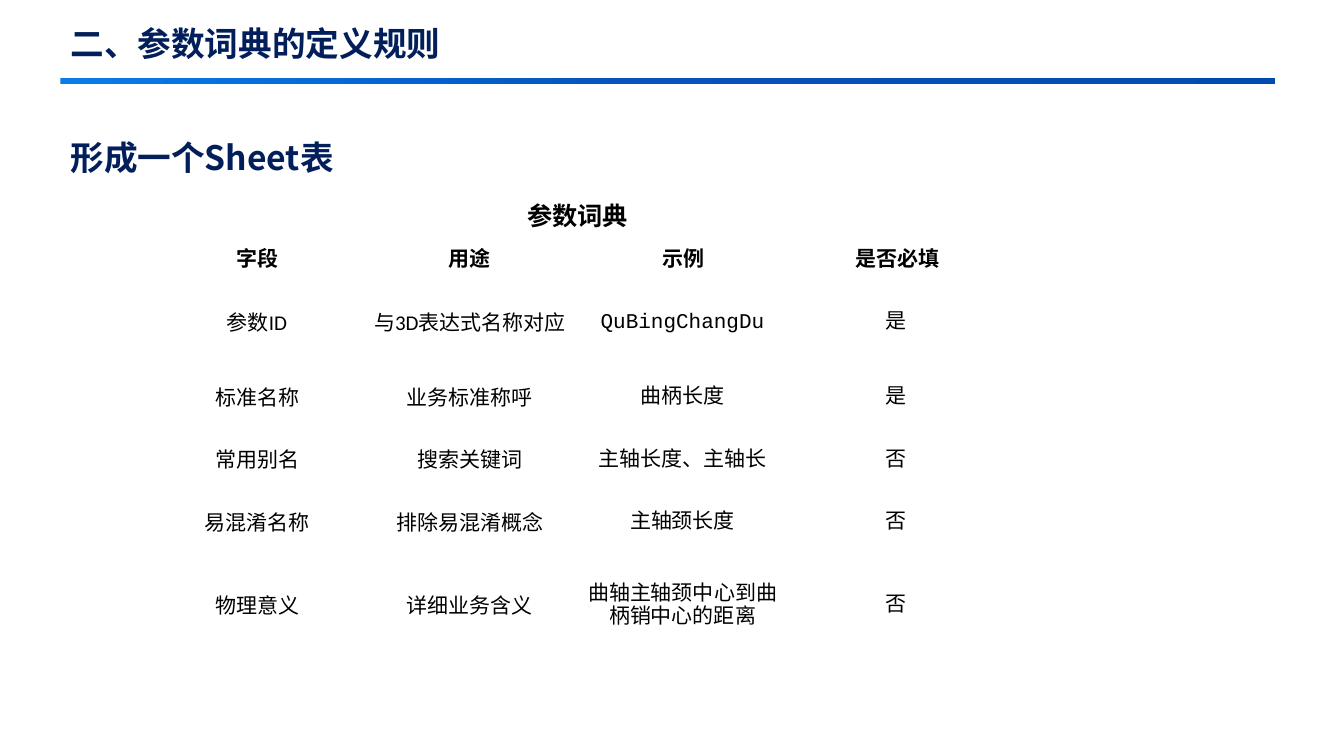
from copy import deepcopy

from lxml import etree
from pptx import Presentation
from pptx.dml import color
from pptx.enum import shapes, text
from pptx.oxml import ns
from pptx.util import Inches, Pt

CJK_FONT = "Noto Sans CJK SC"
NAVY, BLACK, WHITE = "021F5B", "000000", "FFFFFF"
RULE_STOPS = [(0, "097CEA"), (0.47, "0652BE"), (1, "004CAE")]

TABLE_TITLE = "参数词典"
ROWS = [
    ["字段", "用途", "示例", "是否必填"],
    ["参数ID", "与3D表达式名称对应", "QuBingChangDu", "是"],
    ["标准名称", "业务标准称呼", "曲柄长度", "是"],
    ["常用别名", "搜索关键词", "主轴长度、主轴长", "否"],
    ["易混淆名称", "排除易混淆概念", "主轴颈长度", "否"],
    ["物理意义", "详细业务含义", "曲轴主轴颈中心到曲柄销中心的距离", "否"],
]
ROW_HEIGHTS = [0.4, 0.39, 0.87, 0.62, 0.62, 0.62, 1.03]
COLUMN_WIDTH = 2.12


def rgb(value):
    return color.RGBColor.from_string(value)


def format_paragraph(para, size, font, value, bold, align):
    para.alignment = align
    for span in para.runs:
        span.font.size = Pt(size)
        span.font.bold = bold
        span.font.color.rgb = rgb(value)
        span.font.name = font
        east_asian = etree.SubElement(span.font._element, ns.qn("a:ea"))
        east_asian.set("typeface", CJK_FONT)


def fill_heading(box, left, top, width, height, wording):
    box.left, box.top = Inches(left), Inches(top)
    box.width, box.height = Inches(width), Inches(height)
    frame = box.text_frame
    frame.text = wording
    frame.word_wrap = True
    frame.auto_size = text.MSO_AUTO_SIZE.NONE
    frame.vertical_anchor = text.MSO_ANCHOR.MIDDLE
    para = frame.paragraphs[0]
    para.line_spacing = 1.0
    format_paragraph(para, 24, CJK_FONT, NAVY, True, text.PP_ALIGN.LEFT)


def add_rule(page, left, top, width, height):
    rule = page.shapes.add_shape(shapes.MSO_SHAPE.RECTANGLE, Inches(left),
                                 Inches(top), Inches(width), Inches(height))
    rule.shadow.inherit = False
    rule.line.fill.background()
    rule.fill.gradient()
    rule.fill.gradient_angle = 0
    # The default gradient has two stops; a third goes between them
    first = rule.fill.gradient_stops[0]._gs
    first.addnext(deepcopy(first))
    for stop, (position, value) in zip(rule.fill.gradient_stops, RULE_STOPS):
        stop.position = position
        stop.color.rgb = rgb(value)


def fill_cell(cell, wording, size, font, bold, spacing, left=0.07, right=0.07):
    cell.fill.solid()
    cell.fill.fore_color.rgb = rgb(WHITE)
    cell.vertical_anchor = text.MSO_ANCHOR.MIDDLE
    cell.margin_left, cell.margin_right = Inches(left), Inches(right)
    cell.margin_top = cell.margin_bottom = Inches(0.04)
    cell.text_frame.text = wording
    para = cell.text_frame.paragraphs[0]
    para.line_spacing = Pt(spacing)
    format_paragraph(para, size, font, BLACK, bold, text.PP_ALIGN.CENTER)


def add_dictionary(page, left, top):
    columns = len(ROWS[0])
    table = page.shapes.add_table(
        len(ROW_HEIGHTS), columns, Inches(left), Inches(top),
        Inches(COLUMN_WIDTH * columns), Inches(sum(ROW_HEIGHTS))).table
    table.first_row = table.horz_banding = False
    for row, height in zip(table.rows, ROW_HEIGHTS):
        row.height = Inches(height)
    for column in table.columns:
        column.width = Inches(COLUMN_WIDTH)

    # Title across all columns
    table.cell(0, 0).merge(table.cell(0, columns - 1))
    fill_cell(table.cell(0, 0), TABLE_TITLE, 18, "Calibri", True, 18.8, left=0.09)

    # Column heads and entries
    for r, entries in enumerate(ROWS, 1):
        header = r == 1
        for c, wording in enumerate(entries):
            answer = not header and c >= 2
            fill_cell(table.cell(r, c), wording, 15,
                      "Courier New" if answer and c == 2 else "Calibri",
                      header, 16.5 if answer else 18.8,
                      left=0.09 if c == 0 else 0.07,
                      right=0.09 if answer else 0.07)


def main():
    deck = Presentation()
    deck.slide_width, deck.slide_height = Inches(13.33), Inches(7.5)
    page = deck.slides.add_slide(deck.slide_layouts[5])

    # Title and rule
    add_rule(page, 0.6, 0.77, 12.05, 0.06)
    fill_heading(page.shapes.title, 0.6, 0.08, 4.07, 0.69, "二、参数词典的定义规则")

    # Parameter dictionary
    add_dictionary(page, 1.48, 1.98)
    subtitle = page.shapes.add_textbox(0, 0, 0, 0)
    fill_heading(subtitle, 0.6, 1.21, 6.25, 0.69, "形成一个Sheet表")

    deck.save("out.pptx")


if __name__ == "__main__":
    main()
